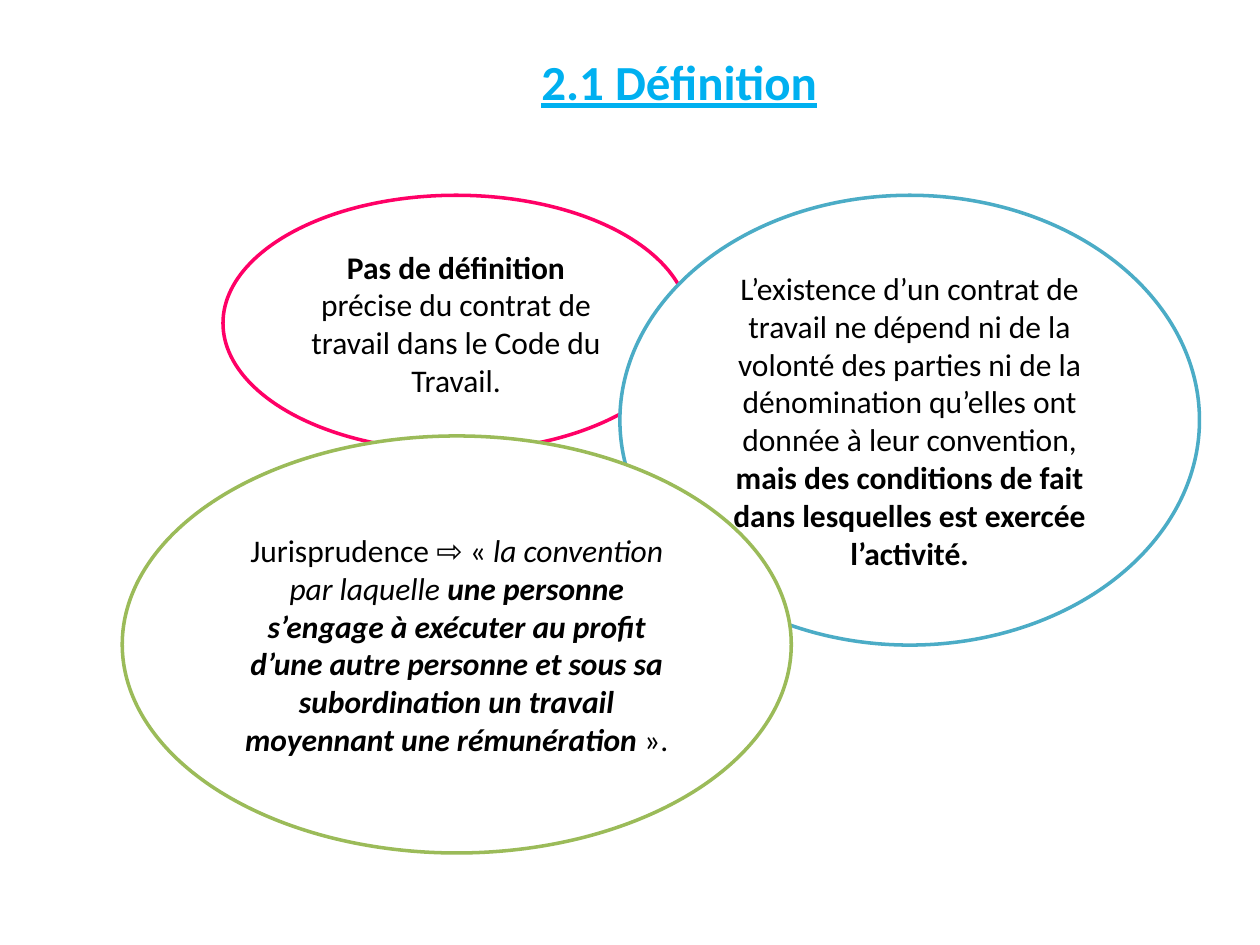
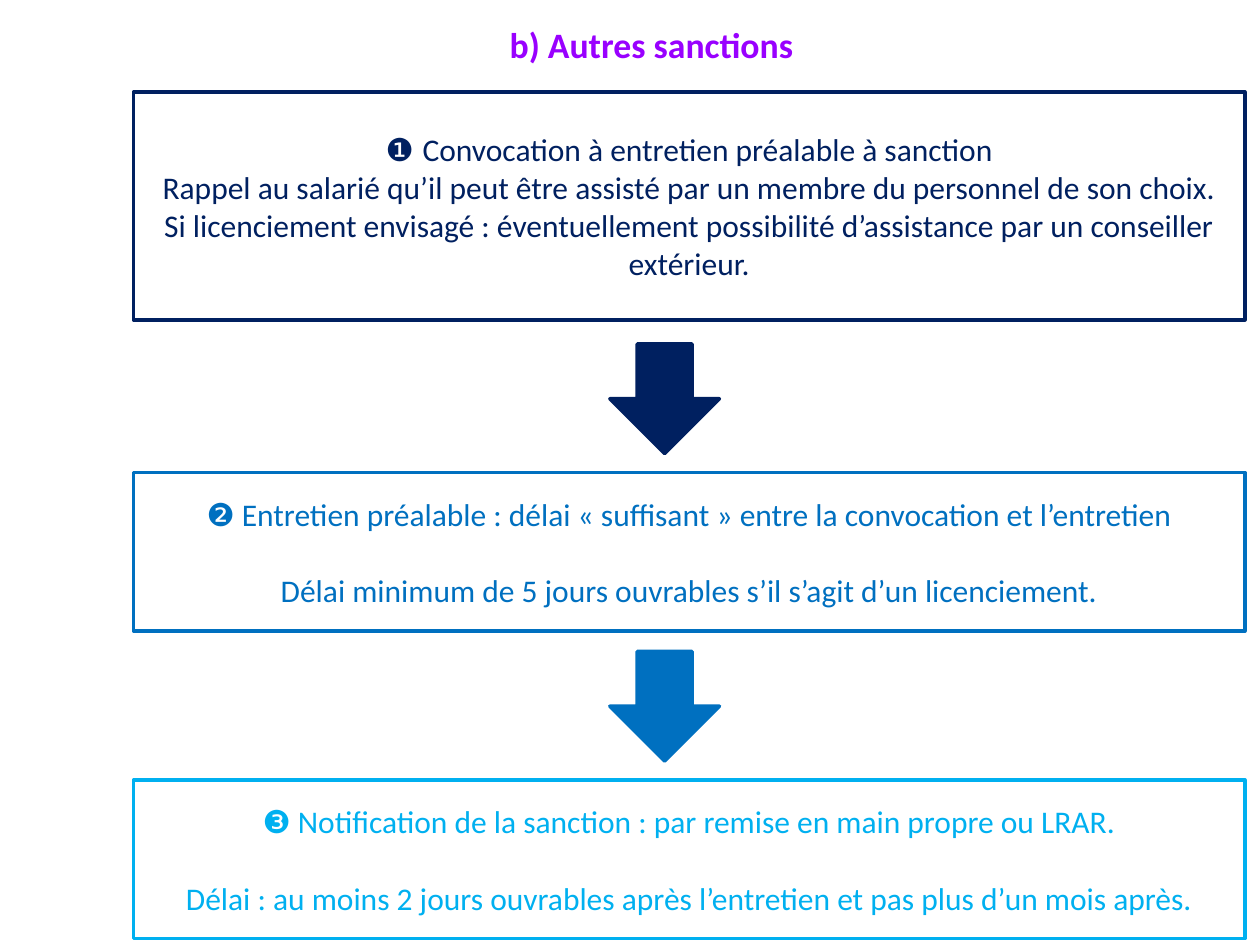
from pptx import Presentation
from pptx.dml.color import RGBColor as Rgb
from pptx.enum.shapes import MSO_SHAPE as Kind
from pptx.enum.text import MSO_ANCHOR as Anchor, PP_ALIGN as Align
from pptx.util import Inches, Pt

WHITE = Rgb(0xFF, 0xFF, 0xFF)
BLACK = Rgb(0x00, 0x00, 0x00)
PINK = Rgb(0xFF, 0x00, 0x66)
TEAL = Rgb(0x4B, 0xAC, 0xC6)
GREEN = Rgb(0x9B, 0xBB, 0x59)
PURPLE = Rgb(0x99, 0x00, 0xFF)
NAVY = Rgb(0x00, 0x20, 0x60)
BLUE = Rgb(0x00, 0x70, 0xC0)
SKY = Rgb(0x00, 0xB0, 0xF0)

FONT, MARK = "Calibri", "Arial"
SIZE, LINE = 18, 22

OVALS = [
    ((1.77, 1.55, 3.7, 2.03), PINK, [
        ("Pas de définition ", "b"),
        ("précise du contrat de travail dans le Code du Travail.", ""),
    ]),
    ((4.92, 1.55, 4.6, 3.57), TEAL, [
        ("L’existence d’un contrat de travail ne dépend ni de la volonté des "
         "parties ni de la dénomination qu’elles ont donnée à leur convention, ", ""),
        ("mais des conditions de fait dans lesquelles est exercée l’activité.", "b"),
    ]),
    ((0.97, 3.46, 5.31, 3.31), GREEN, [
        ("Jurisprudence ", ""),
        ("⇨", "m"),
        (" « ", ""),
        ("la convention par laquelle ", "i"),
        ("une personne s’engage à exécuter au profit d’une autre personne et "
         "sous sa subordination un travail moyennant une rémunération", "bi"),
        (" ».", ""),
    ]),
]

STEPS = [
    (0.73, 1.81, NAVY, 0, [
        [("❶ ", "m"), ("Convocation à entretien préalable à sanction", "")],
        [("Rappel au salarié qu’il peut être assisté par un membre du "
          "personnel de son choix.", "")],
        [("Si licenciement envisagé : éventuellement possibilité d’assistance "
          "par un conseiller extérieur.", "")],
    ]),
    (3.75, 1.26, BLUE, LINE, [
        [("❷", "m"), (" Entretien préalable : délai « suffisant » entre la "
                      "convocation et l’entretien", "")],
        [("Délai minimum de 5 jours ouvrables s’il s’agit d’un licenciement.", "")],
    ]),
    (6.19, 1.26, SKY, LINE, [
        [("❸", "m"), (" Notification de la sanction : par remise en main "
                      "propre ou LRAR.", "")],
        [("Délai : au moins 2 jours ouvrables après l’entretien et pas plus "
          "d’un mois après.", "")],
    ]),
]
STEP_X, STEP_W = 1.06, 8.82
ARROW_X, ARROW, LEAD = 4.84, 0.87, 1.02


def add_run(para, text, style, size, color):
    run = para.add_run()
    run.text = text
    font = run.font
    font.name = MARK if "m" in style else FONT
    font.size = Pt(size)
    font.color.rgb = color
    font.bold = "b" in style
    font.italic = "i" in style
    font.underline = "u" in style


def fill_text(frame, paras, size, color, gap=0):
    frame.word_wrap = True
    for n, runs in enumerate(paras):
        para = frame.add_paragraph() if n else frame.paragraphs[0]
        para.alignment = Align.CENTER
        if n and gap:
            para.space_before = Pt(gap)
        for text, style in runs:
            add_run(para, text, style, size, color)


def add_slide(deck, title, box, size, color, style):
    slide = deck.slides.add_slide(deck.slide_layouts[5])
    head = slide.shapes.title
    head.left, head.top, head.width, head.height = map(Inches, box)
    head.text_frame.vertical_anchor = Anchor.TOP
    fill_text(head.text_frame, [[(title, style)]], size, color)
    return slide


def add_form(slide, kind, box, fill, line):
    form = slide.shapes.add_shape(kind, *map(Inches, box))
    form.shadow.inherit = False
    form.fill.solid()
    form.fill.fore_color.rgb = fill
    form.line.color.rgb = line
    form.line.width = Pt(2)
    form.text_frame.vertical_anchor = Anchor.MIDDLE
    return form


def draw_terms(deck):
    slide = add_slide(deck, "2.1 Définition", (1.06, 0.36, 8.66, 0.68),
                      28, SKY, "bu")
    for box, color, runs in OVALS:
        oval = add_form(slide, Kind.OVAL, box, WHITE, color)
        fill_text(oval.text_frame, [runs], SIZE, BLACK)


def draw_steps(deck):
    slide = add_slide(deck, "b) Autres sanctions", (0.92, 0.13, 8.5, 0.71),
                      20.4, PURPLE, "b")
    prior = None
    for top, high, color, gap, paras in STEPS:
        if prior is not None:
            add_form(slide, Kind.DOWN_ARROW,
                     (ARROW_X, top - LEAD, ARROW, ARROW), prior, prior)
        step = add_form(slide, Kind.RECTANGLE, (STEP_X, top, STEP_W, high),
                        WHITE, color)
        fill_text(step.text_frame, paras, SIZE, color, gap)
        prior = color


def main():
    deck = Presentation()
    deck.slide_width, deck.slide_height = Inches(10), Inches(7.5)
    draw_terms(deck)
    draw_steps(deck)
    deck.save("out.pptx")


if __name__ == "__main__":
    main()
